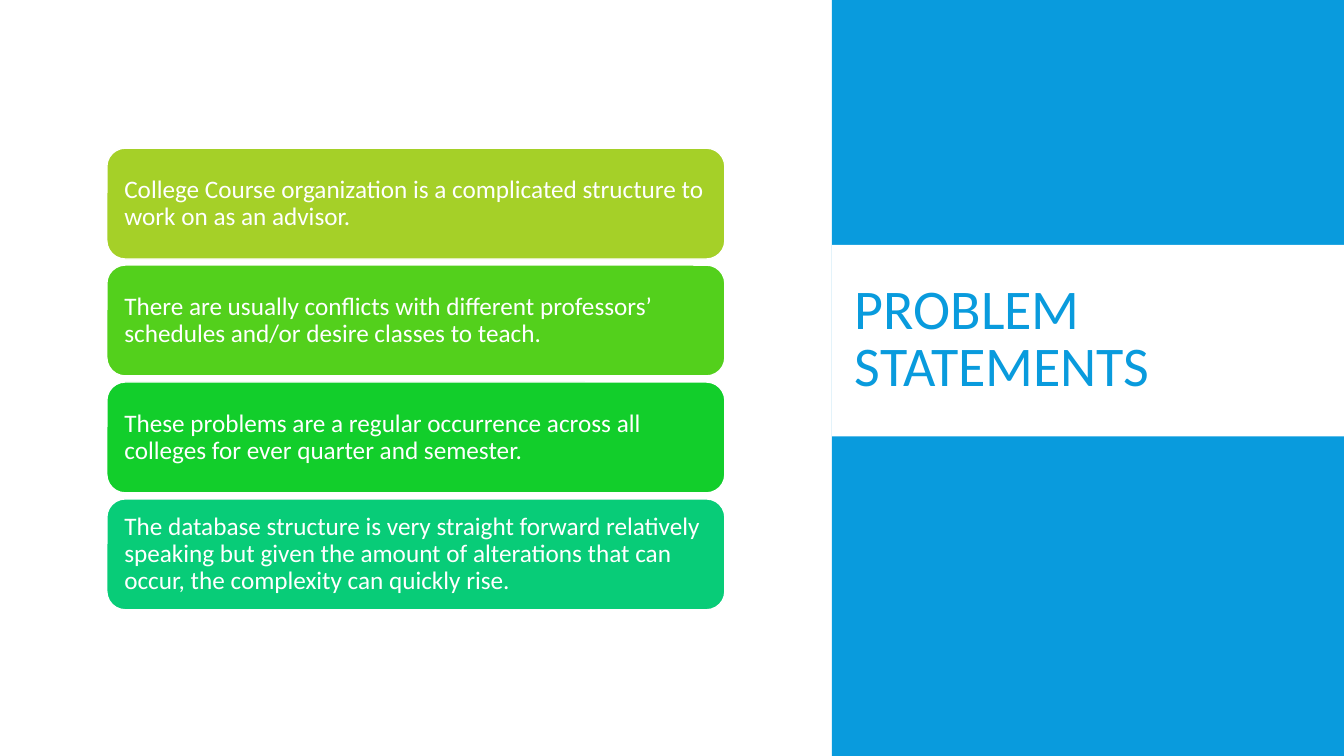
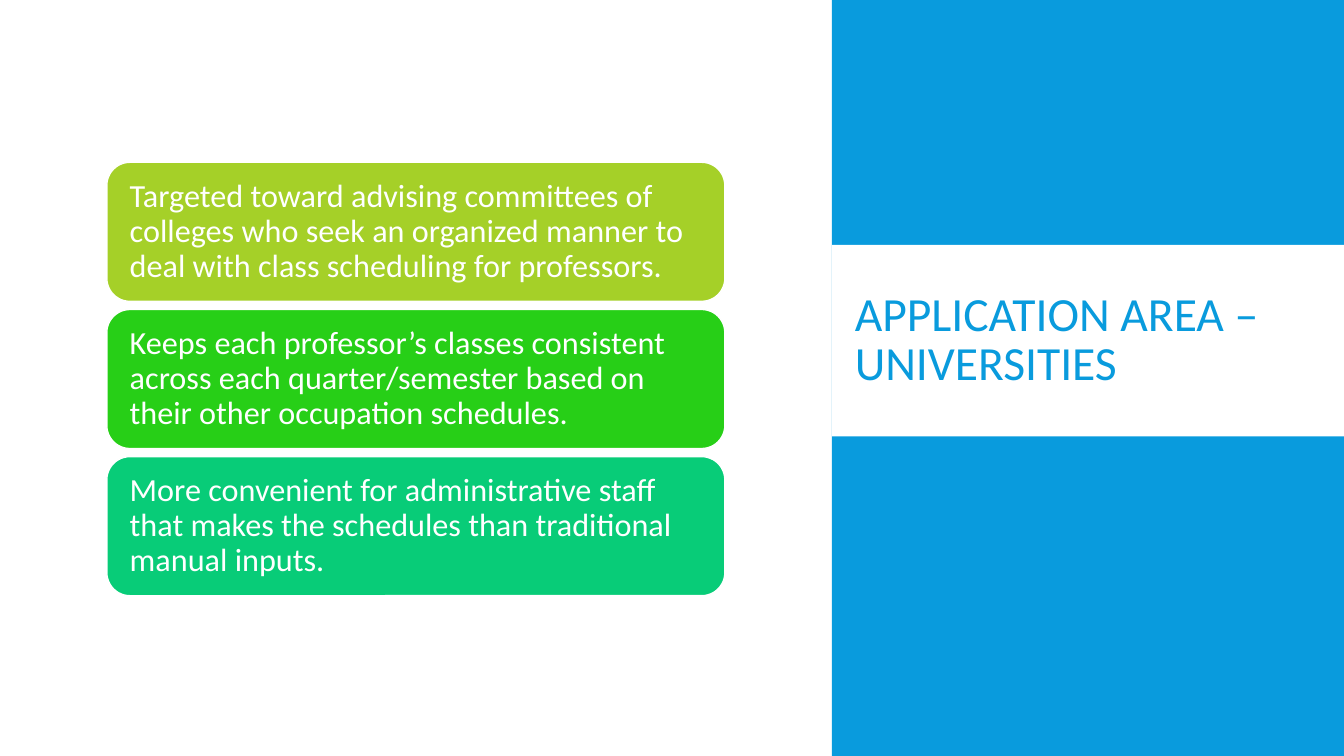
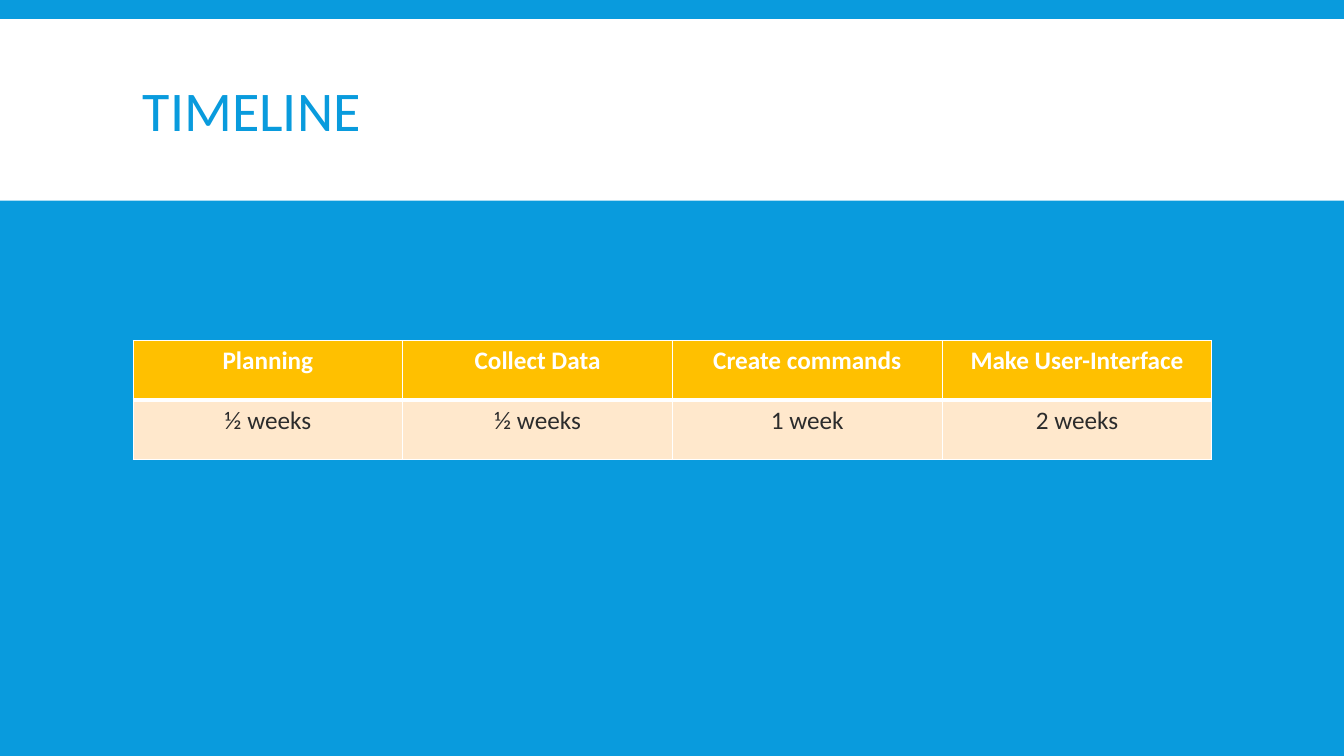
from pptx import Presentation
from pptx.dml.color import RGBColor
from pptx.enum.shapes import MSO_SHAPE
from pptx.enum.text import MSO_ANCHOR, PP_ALIGN
from pptx.oxml.ns import qn
from pptx.util import Inches, Pt
from lxml import etree

RECT = MSO_SHAPE.RECTANGLE
ROUNDED = MSO_SHAPE.ROUNDED_RECTANGLE
MIDDLE = MSO_ANCHOR.MIDDLE
LEFT = PP_ALIGN.LEFT
CENTER = PP_ALIGN.CENTER

BLUE = "099BDD"
WHITE = "FFFFFF"
DARK = "2C2C2C"
AMBER = "FFC000"
CREAM = "FFE8CC"
FONT = "Calibri"

WIDTH, HEIGHT = 13.33, 7.5
PANEL_LEFT = 8.25
CARD_LEFT, CARD_WIDTH = 1.06, 6.13
STACK_MIDDLE = 3.76


def color(value):
    return RGBColor.from_string(value)


class Deck:
    def __init__(self):
        self.file = Presentation()
        self.file.slide_width = Inches(WIDTH)
        self.file.slide_height = Inches(HEIGHT)
        self.page = None

    def new_page(self, background):
        self.page = self.file.slides.add_slide(self.file.slide_layouts[6])
        fill = self.page.background.fill
        fill.solid()
        fill.fore_color.rgb = color(background)

    def shape(self, kind, left, top, width, height, fill, line=None):
        box = self.page.shapes.add_shape(
            kind, Inches(left), Inches(top), Inches(width), Inches(height))
        box.shadow.inherit = False
        box.fill.solid()
        box.fill.fore_color.rgb = color(fill)
        if line:
            box.line.color.rgb = color(line)
            box.line.width = Pt(1)
        else:
            box.line.fill.background()
        return box

    def add_text(self, frame, text, size, ink, align=LEFT, spacing=1.0, bold=False):
        para = frame.paragraphs[0]
        para.alignment = align
        para.line_spacing = spacing
        span = para.add_run()
        span.text = text
        span.font.name = FONT
        span.font.size = Pt(size)
        span.font.bold = bold
        span.font.color.rgb = color(ink)

    def title(self, text, left, top, width, size=40):
        box = self.page.shapes.add_textbox(
            Inches(left), Inches(top), Inches(width), Inches(1.65))
        frame = box.text_frame
        frame.word_wrap = True
        frame.vertical_anchor = MIDDLE
        self.add_text(frame, text, size, BLUE, spacing=0.85)

    def side_title(self, text, size):
        panel_width = WIDTH - PANEL_LEFT
        self.shape(RECT, PANEL_LEFT, 0, panel_width, HEIGHT, BLUE)
        self.shape(RECT, PANEL_LEFT, 2.43, panel_width, 1.9, WHITE)
        self.title(text, 8.38, 2.56, 4.52, size)

    def cards(self, items, height, gap, size, margin):
        pitch = height + gap
        top = STACK_MIDDLE - (len(items) * pitch - gap) / 2
        for index, (text, fill) in enumerate(items):
            box = self.shape(ROUNDED, CARD_LEFT, top + index * pitch,
                             CARD_WIDTH, height, fill, WHITE)
            frame = box.text_frame
            frame.word_wrap = True
            frame.vertical_anchor = MIDDLE
            frame.margin_left = frame.margin_right = Inches(margin)
            frame.margin_top = frame.margin_bottom = Inches(margin)
            self.add_text(frame, text, size, WHITE, spacing=0.9)

    def borders(self, cell, widths):
        properties = cell._tc.get_or_add_tcPr()
        for side, points in zip("LRTB", widths):
            line = etree.SubElement(properties, qn("a:ln" + side), w=str(Pt(points)))
            fill = etree.SubElement(line, qn("a:solidFill"))
            etree.SubElement(fill, qn("a:srgbClr"), val=WHITE)

    def table(self, rows, left, top, width, row_height):
        table = self.page.shapes.add_table(
            len(rows), len(rows[0]), Inches(left), Inches(top),
            Inches(width), Inches(row_height * len(rows))).table
        table.horz_banding = False
        for row_index, row in enumerate(rows):
            header = row_index == 0
            for column_index, text in enumerate(row):
                cell = table.cell(row_index, column_index)
                self.borders(cell, (1, 1, 1, 3) if header else (1, 1, 3, 1))
                cell.fill.solid()
                cell.fill.fore_color.rgb = color(AMBER if header else CREAM)
                self.add_text(cell.text_frame, text, 18, WHITE if header else DARK,
                              align=CENTER, bold=header)


def main():
    deck = Deck()

    deck.new_page(WHITE)
    deck.side_title("PROBLEM STATEMENTS", 40)
    deck.cards([
        ("College Course organization is a complicated structure to work on "
         "as an advisor.", "A5D028"),
        ("There are usually conflicts with different professors’ schedules "
         "and/or desire classes to teach.", "53D01C"),
        ("These problems are a regular occurrence across all colleges for "
         "ever quarter and semester.", "12CE2B"),
        ("The database structure is very straight forward relatively speaking "
         "but given the amount of alterations that can occur, the complexity "
         "can quickly rise.", "08CC78"),
    ], height=1.1, gap=0.06, size=18, margin=0.12)

    deck.new_page(WHITE)
    deck.side_title("APPLICATION AREA – UNIVERSITIES", 34)
    deck.cards([
        ("Targeted toward advising committees of colleges who seek an "
         "organized manner to deal with class scheduling for professors.", "A5D028"),
        ("Keeps each professor’s classes consistent across each "
         "quarter/semester based on their other occupation schedules.", "27CF17"),
        ("More convenient for administrative staff that makes the schedules "
         "than traditional manual inputs.", "08CC78"),
    ], height=1.38, gap=0.08, size=23, margin=0.16)

    deck.new_page(BLUE)
    deck.shape(RECT, 0, 0.19, WIDTH, 1.8, WHITE)
    deck.title("TIMELINE", 1.32, 0.31, 10.7)
    deck.table([
        ["Planning", "Collect Data", "Create commands", "Make User-Interface"],
        ["½ weeks", "½ weeks", "1 week", "2 weeks"],
    ], 1.32, 3.38, 10.7, 0.59)

    deck.file.save("out.pptx")


if __name__ == "__main__":
    main()
